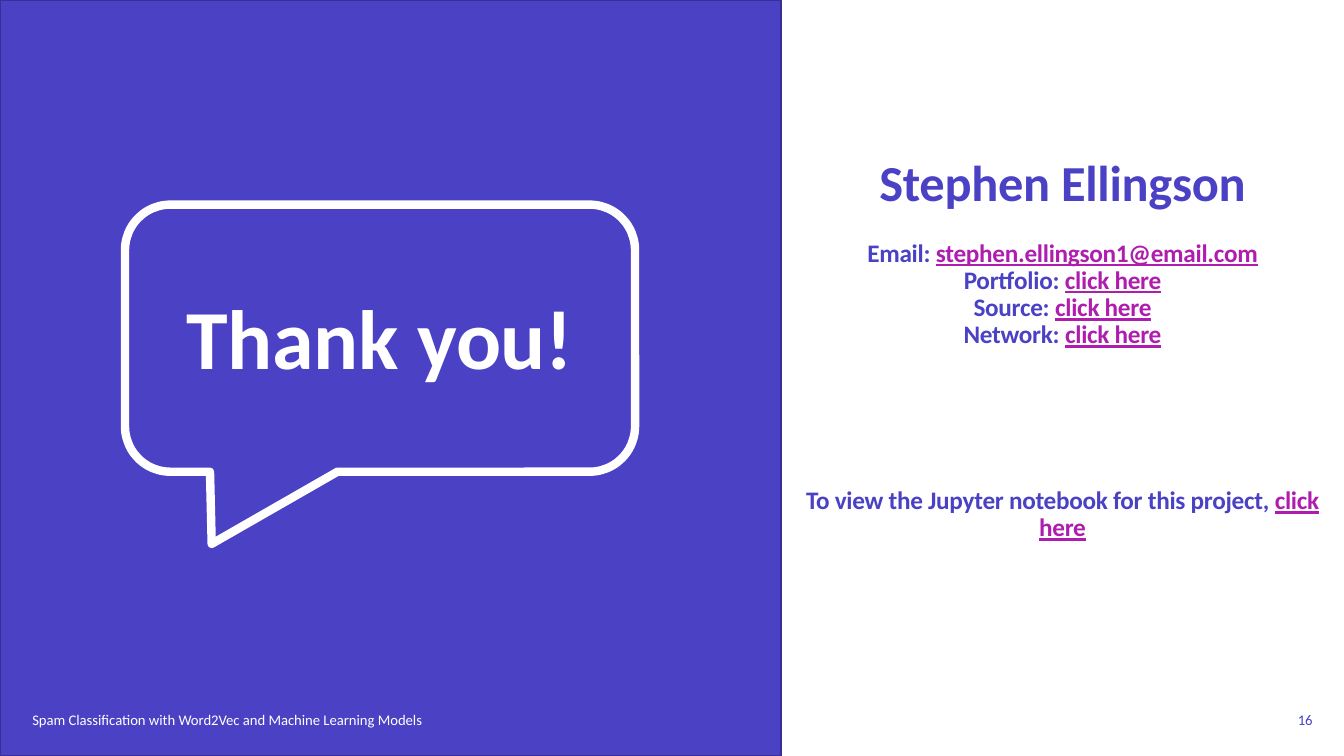
from pptx import Presentation
from pptx import util as u
from pptx.dml.color import RGBColor
from pptx.enum import shapes, text

INDIGO = RGBColor(0x4A, 0x41, 0xC5)
DEEP_INDIGO = RGBColor(0x37, 0x30, 0x92)
MAGENTA = RGBColor(0xAF, 0x1D, 0xAF)
WHITE = RGBColor(0xFF, 0xFF, 0xFF)

WIDTH, HEIGHT = u.Inches(13.33), u.Inches(7.5)
COLS, ROWS = 60, 30
PANEL_COLS = 34.87
FOOTER_ROW, FOOTER_ROWS = 27.8, 1.6
LINE_GAP = 19.8


def grid(col, row, cols, rows):
    return (round(col * WIDTH / COLS), round(row * HEIGHT / ROWS),
            round(cols * WIDTH / COLS), round(rows * HEIGHT / ROWS))


def add_outlined(s, kind, cell, line, weight, fill=None):
    sp = s.shapes.add_shape(kind, *grid(*cell))
    sp.shadow.inherit = False
    if fill is None:
        sp.fill.background()
    else:
        sp.fill.solid()
        sp.fill.fore_color.rgb = fill
    sp.line.color.rgb = line
    sp.line.width = u.Pt(weight)
    return sp


def add_box(s, cell, anchor=text.MSO_ANCHOR.MIDDLE):
    tf = s.shapes.add_textbox(*grid(*cell)).text_frame
    tf.word_wrap = True
    tf.vertical_anchor = anchor
    return tf


def add_run(p, words, size, color, bold=False, underline=False, spacing=None):
    r = p.add_run()
    r.text = words
    r.font.name = "Calibri"
    r.font.size = u.Pt(size)
    r.font.color.rgb = color
    r.font.bold = bold
    if underline:
        r.font.underline = True
    if spacing is not None:
        r.font._element.set("spc", str(spacing))


def style(p, align, before=0):
    p.alignment = align
    p.line_spacing = 0.9
    if before:
        p.space_before = u.Pt(before)


def add_label(s, cell, words, size, color, align, anchor=text.MSO_ANCHOR.MIDDLE,
              bold=False, spacing=None):
    p = add_box(s, cell, anchor).paragraphs[0]
    style(p, align)
    add_run(p, words, size, color, bold, spacing=spacing)


def add_contact(s, name, entries):
    tf = add_box(s, (PANEL_COLS, 0, COLS - PANEL_COLS, FOOTER_ROW))
    p = tf.paragraphs[0]
    style(p, text.PP_ALIGN.CENTER)
    add_run(p, name, 36, INDIGO, bold=True, spacing=-20)
    for label, link, blank_lines in entries:
        p = tf.add_paragraph()
        style(p, text.PP_ALIGN.CENTER, blank_lines * LINE_GAP)
        add_run(p, label, 18, INDIGO, bold=True, spacing=-20)
        add_run(p, link, 18, MAGENTA, bold=True, underline=True, spacing=-20)


def main():
    prs = Presentation()
    prs.slide_width, prs.slide_height = WIDTH, HEIGHT
    s = prs.slides.add_slide(prs.slide_layouts[6])

    add_outlined(s, shapes.MSO_SHAPE.RECTANGLE, (0, 0, PANEL_COLS, ROWS),
                 DEEP_INDIGO, 1, INDIGO)
    add_label(s, (2.34, 5.2, 29.25, 10.36), "Thank you!", 60, WHITE,
              text.PP_ALIGN.CENTER, text.MSO_ANCHOR.BOTTOM, True, -20)
    add_label(s, (1, FOOTER_ROW, 23.8, FOOTER_ROWS),
              "Spam Classification with Word2Vec and Machine Learning Models",
              10.5, WHITE, text.PP_ALIGN.LEFT)
    add_label(s, (55.94, FOOTER_ROW, 3.1, FOOTER_ROWS), "16", 10.5, INDIGO,
              text.PP_ALIGN.RIGHT)

    bubble = add_outlined(s, shapes.MSO_SHAPE.ROUNDED_RECTANGULAR_CALLOUT,
                          (5.58, 8.12, 22.77, 10.6), WHITE, 6)
    for i, value in enumerate((-0.33, 0.77, 0.17)):
        bubble.adjustments[i] = value

    add_contact(s, "Stephen Ellingson", [
        ("Email: ", "stephen.ellingson1@email.com", 1),
        ("Portfolio: ", "click here", 0),
        ("Source: ", "click here", 0),
        ("Network: ", "click here", 0),
        ("To view the Jupyter notebook for this project, ", "click here", 5),
    ])
    prs.save("out.pptx")


if __name__ == "__main__":
    main()
